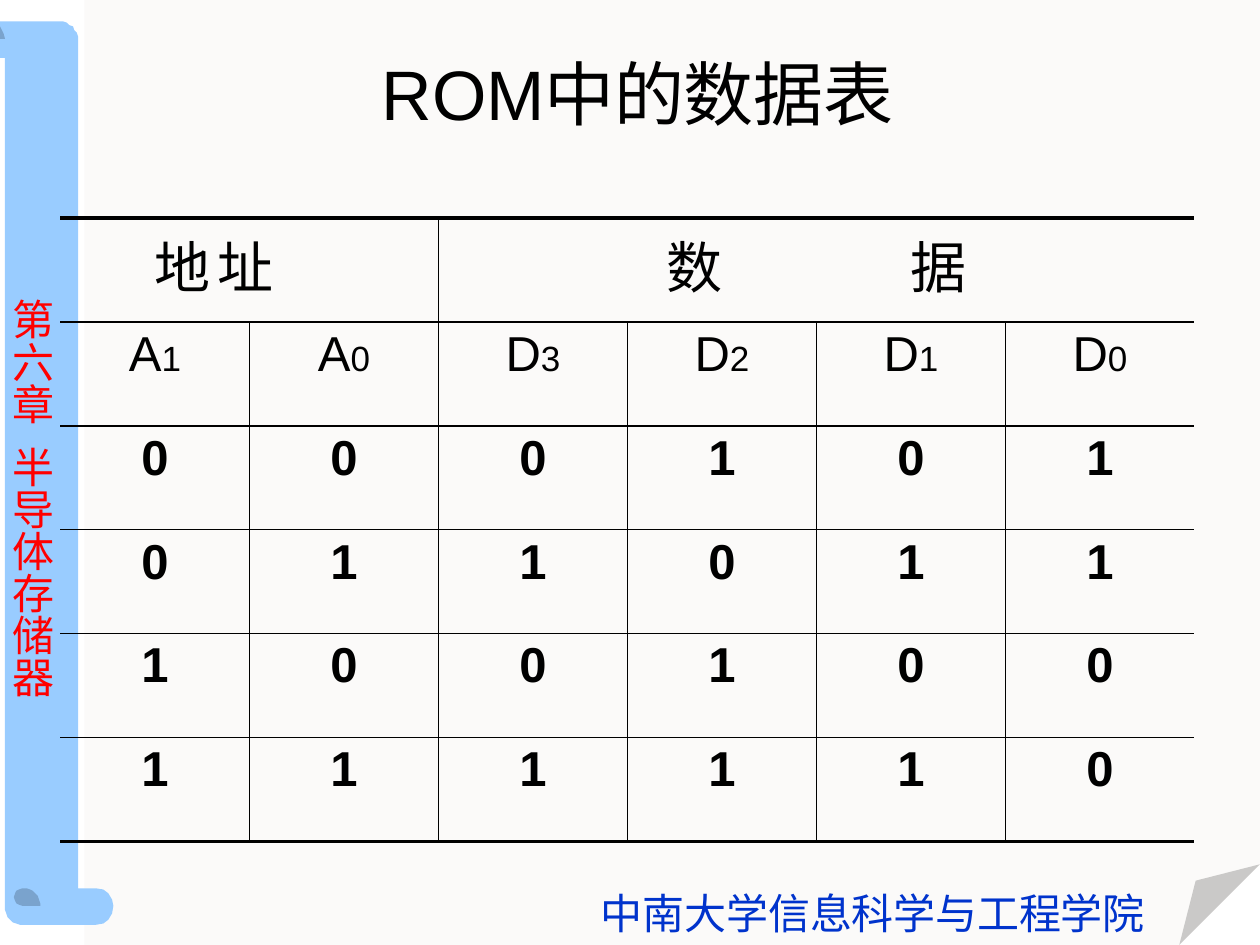
import math
from lxml import etree
from pptx import Presentation
from pptx.dml.color import RGBColor
from pptx.enum import text
from pptx.oxml import ns
from pptx.util import Pt

PX = 9144
COLORS = {
    "paper": "FBFAF9", "fold": "CAC9C8", "scroll": "99CCFF", "curl": "7AA3CD",
    "chapter": "FF0000", "school": "0033CC", "ink": "000000",
}
CJK = "Noto Sans CJK SC"
LATIN = "Arial"
ALIGN = text.PP_ALIGN
BITS = ["000101", "011011", "100100", "111110"]


def color(name):
    return RGBColor.from_string(COLORS[name])


def add_element(parent, tag, **attributes):
    element = etree.SubElement(parent, ns.qn(tag))
    for key, value in attributes.items():
        element.set(key, str(value))
    return element


def write(para, content, font=CJK, size=24, ink="ink", bold=False, spacing=0):
    span = para.add_run()
    span.text = content
    span.font.name = font
    span.font.size = Pt(size)
    span.font.bold = bold
    span.font.color.rgb = color(ink)
    properties = span.font._element
    add_element(properties, "a:ea", typeface=font)
    if spacing:
        properties.set("spc", str(spacing))


def add_box(page, left, top, width, height, inset=0):
    box = page.shapes.add_textbox(left * PX, top * PX, width * PX, height * PX)
    frame = box.text_frame
    frame.word_wrap = True
    frame.margin_left = frame.margin_right = frame.margin_bottom = 0
    frame.margin_top = inset * PX
    return frame


def add_outline(page, left, top, points, fill):
    builder = page.shapes.build_freeform(*points[0], scale=PX)
    builder.add_line_segments(points[1:], close=True)
    shape = builder.convert_to_shape(left * PX, top * PX)
    shape.shadow.inherit = False
    shape.fill.solid()
    shape.fill.fore_color.rgb = color(fill)
    shape.line.fill.background()


def arc(x, y, radius, start, end, steps=8):
    angles = [math.radians(start + (end - start) * i / steps) for i in range(steps + 1)]
    return [(round(x + radius * math.cos(a), 2), round(y + radius * math.sin(a), 2))
            for a in angles]


def draw_paper(page, left, top, width, height, fold=64):
    corner = [(width, height - fold), (width - fold, height)]
    add_outline(page, left, top, [(0, 0), (width, 0), *corner, (0, height)], "paper")
    crease = (width - 51, height - 51)
    add_outline(page, left, top, [corner[0], crease, corner[1]], "fold")


def draw_scroll(page, left, top):
    body = [(0, 0), *arc(47, 15, 15, -90, 0), (62, 688), *arc(76, 702.5, 14.5, -90, 90),
            *arc(18.5, 702.5, 14.5, 90, 180), (4, 29), (0, 29)]
    lower_curl = arc(18, 702.5, 14.5, -90, 0) + arc(18, 695, 7, 90, 270)
    upper_curl = [(0, 4), (1, 6), (3, 10), (4, 14), (0, 14)]
    add_outline(page, left, top, body, "scroll")
    for curl in (lower_curl, upper_curl):
        add_outline(page, left, top, curl, "curl")


def draw_chapter(page, left, top, width, height):
    frame = add_box(page, left, top, width, height, inset=8)
    chapter, subject = frame.paragraphs[0], frame.add_paragraph()
    for para, content in ((chapter, "第 六 章"), (subject, "半导体存储器")):
        para.alignment = ALIGN.JUSTIFY
        para.line_spacing = Pt(24)
        write(para, content, ink="chapter")
    subject.space_before = Pt(12)


def draw_school(page, left, top, width, height):
    para = add_box(page, left, top, width, height).paragraphs[0]
    para.line_spacing = Pt(26)
    write(para, "中南大学信息科学与工程学院", ink="school", spacing=-10)


def draw_title(page, left, top, width, height):
    para = add_box(page, left, top, width, height, inset=8).paragraphs[0]
    para.line_spacing = Pt(47.5)
    write(para, "ROM", font=LATIN, size=40, spacing=-10)
    write(para, "中的数据表", size=40, spacing=-10)


def set_borders(cell, **widths):
    properties = cell._tc.get_or_add_tcPr()
    for index, side in enumerate("LRTB"):
        width = widths[side]
        line = etree.Element(ns.qn(f"a:ln{side}"), w=str(Pt(width)))
        if width:
            fill = add_element(line, "a:solidFill")
            add_element(fill, "a:srgbClr", val=COLORS["ink"])
        else:
            add_element(line, "a:noFill")
        properties.insert(index, line)


def fill_heading(cell, content, tab, indent=0):
    para = cell.text_frame.paragraphs[0]
    properties = para._p.get_or_add_pPr()
    tabs = add_element(properties, "a:tabLst")
    add_element(tabs, "a:tab", pos=tab * PX, algn="l")
    if indent:
        properties.set("marL", str(indent * PX))
        properties.set("indent", "0")
    else:
        para.alignment = ALIGN.CENTER
    write(para, content, size=32)


def draw_table(page, left, top, width, height):
    names = ["A1", "A0", "D3", "D2", "D1", "D0"]
    rows, columns = len(BITS) + 2, len(names)
    table = page.shapes.add_table(rows, columns, left * PX, top * PX,
                                  width * PX, height * PX).table
    table.first_row = table.horz_banding = False
    for column in table.columns:
        column.width = width * PX // columns
    for r, row in enumerate(table.rows):
        row.height = height * PX // rows
        dividers = [2] if r == 0 else range(1, columns)
        for c, cell in enumerate(row.cells):
            cell.fill.background()
            cell.margin_left = cell.margin_right = cell.margin_bottom = 0
            cell.margin_top = 4 * PX
            set_borders(cell, L=int(c in dividers), R=int(c + 1 in dividers),
                        T=1 if r else 2.25, B=1 if r < rows - 1 else 2.25)
            if r == 0:
                continue
            para = cell.text_frame.paragraphs[0]
            para.alignment = ALIGN.CENTER
            if r == 1:
                write(para, names[c][0], font=LATIN, size=28, spacing=-10)
                write(para, names[c][1], font=LATIN, size=20, spacing=-10)
            else:
                write(para, BITS[r - 2][c], font=LATIN, size=28, bold=True)
    table.cell(0, 0).merge(table.cell(0, 1))
    table.cell(0, 2).merge(table.cell(0, columns - 1))
    fill_heading(table.cell(0, 0), "地\t址", tab=181, indent=75)
    fill_heading(table.cell(0, 2), "数\t据", tab=193)


def main():
    deck = Presentation()
    deck.slide_width, deck.slide_height = 1000 * PX, 750 * PX
    page = deck.slides.add_slide(deck.slide_layouts[6])
    draw_paper(page, 67, 0, 933, 750)
    draw_scroll(page, 0, 17)
    draw_chapter(page, 10, 232, 36, 326)
    draw_school(page, 477, 708, 436, 36)
    draw_title(page, 303, 33, 410, 69)
    draw_table(page, 48, 173, 900, 495)
    deck.save("out.pptx")


if __name__ == "__main__":
    main()
